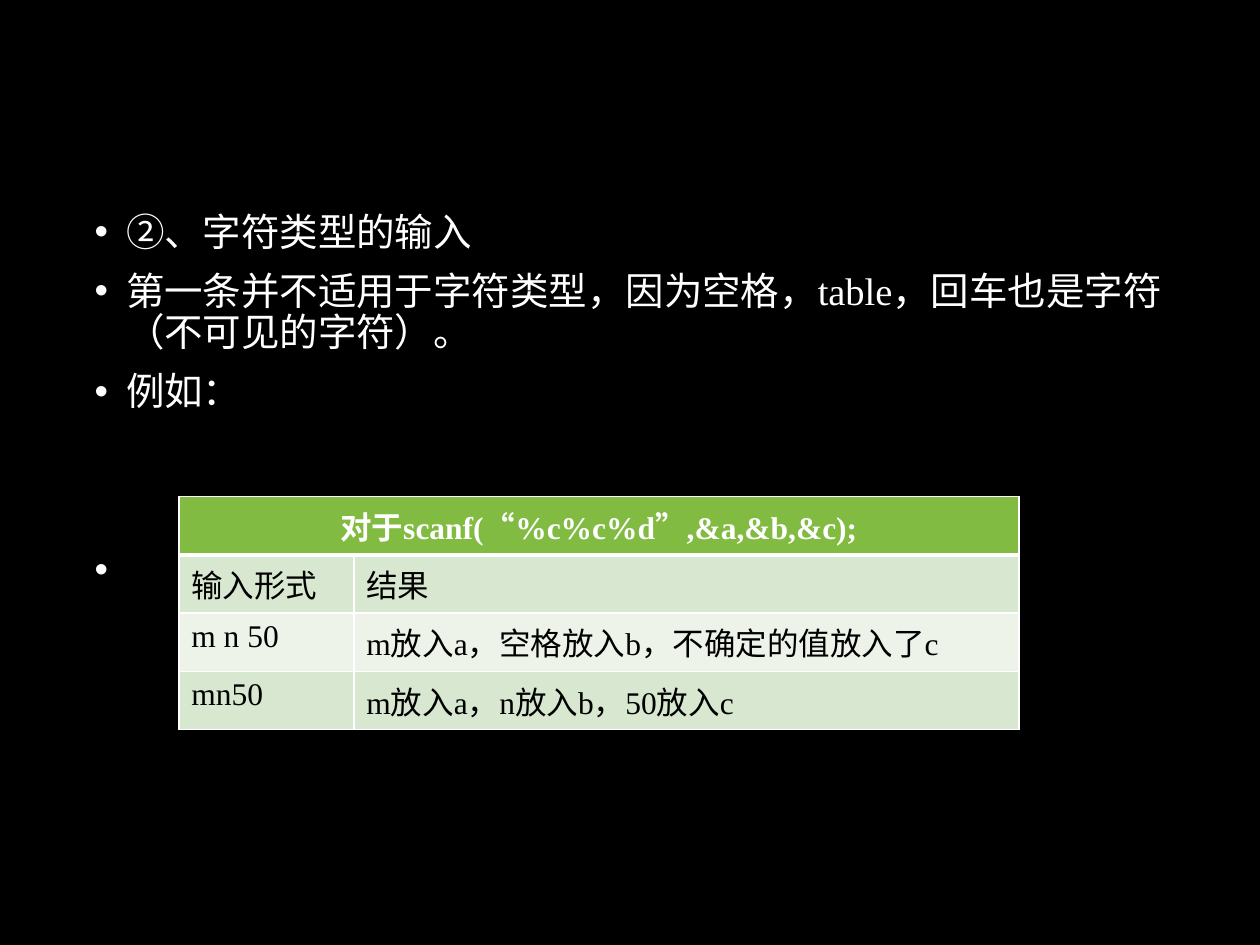
from dataclasses import dataclass

from lxml import etree
from pptx import Presentation
from pptx.dml.color import RGBColor
from pptx.enum import lang, text
from pptx.oxml import ns
from pptx.util import Pt


@dataclass(frozen=True)
class Theme:
    font: str = "Times New Roman"
    background: str = "000000"
    light: str = "FFFFFF"
    dark: str = "000000"
    header: str = "81BB42"
    bands: tuple = ("EDF3E9", "D8E7CF")
    body_size: int = 22
    table_size: int = 18


theme = Theme()

bullets = [
    ("②、字符类型的输入", 10),
    ("第一条并不适用于字符类型，因为空格，table，回车也是字符（不可见的字符）。", 10),
    ("例如：", 10),
    (" ", 78),
]
heading = "对于scanf(“%c%c%d”,&a,&b,&c);"
results = [
    ("输入形式", "结果"),
    ("m n 50", "m放入a，空格放入b，不确定的值放入了c"),
    ("mn50", "m放入a，n放入b，50放入c"),
]
column_widths = (100, 380)
row_height = 33.2


def color(value):
    return RGBColor.from_string(value)


def style(para, size, value, bold=False):
    for span in para.runs:
        span.font.name = theme.font
        span.font.size = Pt(size)
        span.font.bold = bold
        span.font.color.rgb = color(value)
        span.font.language_id = lang.MSO_LANGUAGE_ID.SIMPLIFIED_CHINESE


def add_borders(cell, top, bottom):
    properties = cell._tc.get_or_add_tcPr()
    for side, width in (("L", 1), ("R", 1), ("T", top), ("B", bottom)):
        line = etree.SubElement(properties, ns.qn(f"a:ln{side}"), w=str(Pt(width)))
        fill = etree.SubElement(line, ns.qn("a:solidFill"))
        etree.SubElement(fill, ns.qn("a:srgbClr"), val=theme.light)


def fill_cell(cell, row):
    is_header = row == 0
    add_borders(cell, 3 if row == 1 else 1, 3 if is_header else 1)
    cell.fill.solid()
    cell.fill.fore_color.rgb = color(theme.header if is_header else theme.bands[row % 2])
    para = cell.text_frame.paragraphs[0]
    para.alignment = text.PP_ALIGN.CENTER if is_header else text.PP_ALIGN.LEFT
    style(para, theme.table_size, theme.light if is_header else theme.dark, is_header)


def add_bullets(body):
    body.left, body.top, body.width, body.height = Pt(46.8), Pt(118), Pt(626.4), Pt(375)
    frame = body.text_frame
    frame.auto_size = text.MSO_AUTO_SIZE.NONE
    frame.vertical_anchor = text.MSO_ANCHOR.TOP
    frame.text = "\n".join(words for words, _ in bullets)
    for para, (_, gap) in zip(frame.paragraphs, bullets):
        para.line_spacing = 0.9
        para.space_before = Pt(gap)
        properties = para._p.get_or_add_pPr()
        properties.set("marL", str(Pt(18)))
        properties.set("indent", str(-Pt(18)))
        bullet_color = etree.SubElement(properties, ns.qn("a:buClr"))
        etree.SubElement(bullet_color, ns.qn("a:srgbClr"), val=theme.light)
        etree.SubElement(properties, ns.qn("a:buFont"), typeface="Arial")
        etree.SubElement(properties, ns.qn("a:buChar"), char="•")
        style(para, theme.body_size, theme.light)


def add_results(page):
    rows = [(heading, "")] + results
    table = page.shapes.add_table(
        len(rows), len(column_widths), Pt(102.2), Pt(283.8),
        Pt(sum(column_widths)), Pt(row_height * len(rows)),
    ).table
    table.horz_banding = False
    for column, width in zip(table.columns, column_widths):
        column.width = Pt(width)
    for row, values in enumerate(rows):
        table.rows[row].height = Pt(row_height)
        for column, value in enumerate(values):
            cell = table.cell(row, column)
            cell.text = value
            fill_cell(cell, row)
    table.cell(0, 0).merge(table.cell(0, 1))


deck = Presentation()
deck.slide_width, deck.slide_height = Pt(720), Pt(540)
page = deck.slides.add_slide(deck.slide_layouts[1])
page.background.fill.solid()
page.background.fill.fore_color.rgb = color(theme.background)
title = page.shapes.title.element
title.getparent().remove(title)
add_bullets(page.placeholders[1])
add_results(page)
deck.save("out.pptx")
